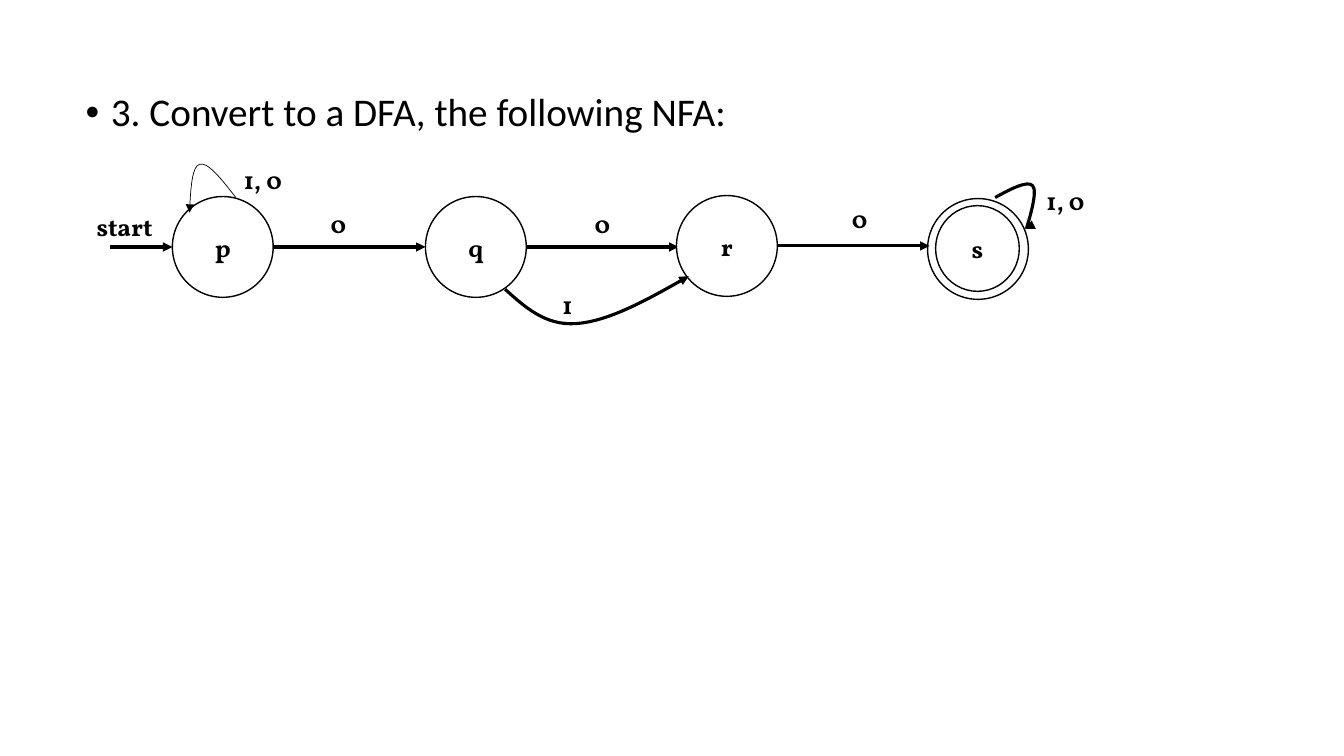
from pptx import Presentation
from pptx.dml.color import RGBColor
from pptx.enum.shapes import MSO_CONNECTOR, MSO_SHAPE
from pptx.enum.text import MSO_ANCHOR, PP_ALIGN
from pptx.oxml.ns import qn
from pptx.util import Pt
from lxml.etree import SubElement

SCALE = 9144
COLORS = {"ink": "000000", "paper": "FFFFFF"}


class Board:
    """Draws the parts of an automaton on one slide, in px of 1/100 inch."""

    def __init__(self, deck):
        self.slide = deck.slides.add_slide(deck.slide_layouts[1])
        self.shapes = self.slide.shapes
        title = self.shapes.title.element
        title.getparent().remove(title)

    def color(self, name):
        return RGBColor.from_string(COLORS[name])

    def box(self, *sides):
        return [side * SCALE for side in sides]

    def add_text(self, para, text, size=18, face="Vollkorn", bold=True):
        run = para.add_run()
        run.text = text
        font = run.font
        font.size, font.name, font.bold = Pt(size), face, bold
        font.color.rgb = self.color("ink")

    def task(self, text, *sides):
        body = self.slide.placeholders[1]
        body.left, body.top, body.width, body.height = self.box(*sides)
        para = body.text_frame.paragraphs[0]
        props = para._p.get_or_add_pPr()
        props.set("marL", str(25 * SCALE))
        props.set("indent", str(-25 * SCALE))
        SubElement(props, qn("a:buFont"), typeface="Arial")
        SubElement(props, qn("a:buChar"), char="•")
        para.line_spacing, para.space_before = 0.9, Pt(0)
        self.add_text(para, text, 28, "Calibri", False)

    def state(self, left, top, wide=100, high=100, name=""):
        ring = self.shapes.add_shape(MSO_SHAPE.OVAL, *self.box(left, top, wide, high))
        ring.shadow.inherit = False
        ring.fill.solid()
        ring.fill.fore_color.rgb = self.color("paper")
        ring.line.color.rgb = self.color("ink")
        ring.line.width = Pt(1)
        if name:
            frame = ring.text_frame
            frame.vertical_anchor = MSO_ANCHOR.MIDDLE
            para = frame.paragraphs[0]
            para.alignment = PP_ALIGN.CENTER
            self.add_text(para, name)

    def label(self, text, left, top, wide=32):
        frame = self.shapes.add_textbox(*self.box(left, top, wide, 40)).text_frame
        frame.word_wrap = True
        self.add_text(frame.paragraphs[0], text)

    def head(self, line, width):
        line.color.rgb = self.color("ink")
        line.width = Pt(width)
        SubElement(line._get_or_add_ln(), qn("a:tailEnd"), type="triangle")

    def arrow(self, start, end, y):
        edge = self.shapes.add_connector(
            MSO_CONNECTOR.STRAIGHT, *self.box(start, y, end, y))
        self.head(edge.line, 2.25)
        SubElement(edge.element.spPr, qn("a:effectLst"))

    def curve(self, start, *points, width=2.25):
        form = self.shapes.build_freeform(*start, scale=SCALE)
        form.add_line_segments(points, close=False)
        bend = form.convert_to_shape()
        bend.shadow.inherit = False
        bend.fill.background()
        self.head(bend.line, width)
        track = next(bend.element.iter(qn("a:path")))
        steps = track.findall(qn("a:lnTo"))
        for index in range(0, len(steps), 3):
            cubic = SubElement(track, qn("a:cubicBezTo"))
            for step in steps[index:index + 3]:
                cubic.append(step[0])
                track.remove(step)


def main():
    deck = Presentation()
    deck.slide_width, deck.slide_height = 1333 * SCALE, 750 * SCALE
    board = Board(deck)
    board.task("3. Convert to a DFA, the following NFA:", 75, 87, 1150, 476)

    board.state(171, 195, name="p")
    board.state(422, 195, name="q")
    board.state(920, 197)
    for start, end in ((109, 171), (271, 422), (522, 673)):
        board.arrow(start, end, 245)
    board.state(928, 204, 83, 85, "s")
    board.state(671, 194, name="r")
    board.arrow(771, 922, 244)

    board.curve((987, 196), (1003, 187), (1019, 179), (1024, 184),
                (1030, 189), (1020, 220), (1018, 227),
                (1017, 234), (1017, 231), (1017, 227))
    board.curve((234, 196), (220, 178), (206, 160), (198, 163),
                (191, 165), (189, 188), (188, 211), width=0.5)
    board.curve((501, 287), (521, 305), (541, 323), (571, 321),
                (602, 319), (643, 297), (683, 274))

    board.label("start", 86, 205, 92)
    board.label("1, 0", 232, 158, 61)
    board.label("1, 0", 1028, 179, 65)
    for text, left, top in (("0", 318, 202), ("0", 580, 202),
                            ("0", 835, 197), ("1", 548, 282)):
        board.label(text, left, top)
    deck.save("out.pptx")


if __name__ == "__main__":
    main()
